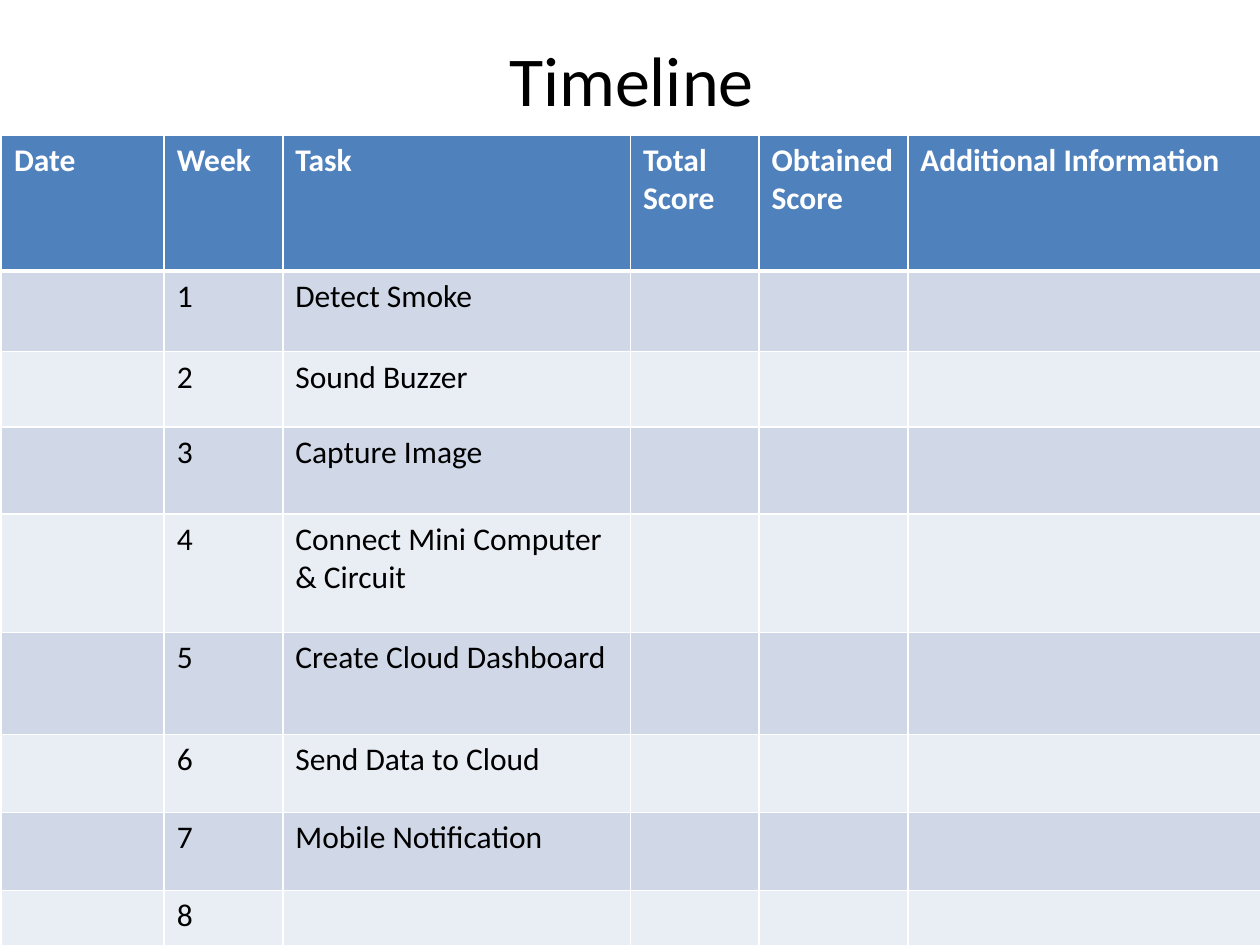
"""Build the project timeline slide with its weekly task table."""
from lxml.etree import SubElement
from pptx import Presentation
from pptx.dml.color import RGBColor
from pptx.enum.text import MSO_ANCHOR, PP_ALIGN
from pptx.oxml.ns import qn
from pptx.util import Cm, Pt

BLACK = RGBColor(0x00, 0x00, 0x00)
WHITE = RGBColor(0xFF, 0xFF, 0xFF)
HEADER_BLUE = RGBColor(0x4F, 0x81, 0xBD)
BAND_DARK = RGBColor(0xD0, 0xD8, 0xE8)
BAND_LIGHT = RGBColor(0xE9, 0xED, 0xF4)

HEADINGS = ["Date", "Week", "Task", "Total Score", "Obtained Score", "Additional Information"]
TASKS = [
    "Detect Smoke",
    "Sound Buzzer",
    "Capture Image",
    "Connect Mini Computer\n& Circuit",
    "Create Cloud Dashboard",
    "Send Data to Cloud",
    "Mobile Notification",
    "",
]
COLUMN_WIDTHS = [3.28, 2.39, 7.01, 2.59, 3, 7.11]
ROW_HEIGHTS = [2.74, 1.63, 1.52, 1.75, 2.39, 2.06, 1.57, 1.57, 1.57]


class SlideBuilder:
    def __init__(self, slide, font_name="Calibri"):
        self.slide = slide
        self.font_name = font_name

    def format_text(self, text_frame, size, color, bold=False):
        for paragraph in text_frame.paragraphs:
            for run in paragraph.runs:
                run.font.name = self.font_name
                run.font.size = Pt(size)
                run.font.bold = bold
                run.font.color.rgb = color

    def add_title(self, text, left, top, width, height):
        shape = self.slide.shapes.add_textbox(Cm(left), Cm(top), Cm(width), Cm(height))
        text_frame = shape.text_frame
        text_frame.word_wrap = True
        text_frame.vertical_anchor = MSO_ANCHOR.MIDDLE
        text_frame.text = text
        text_frame.paragraphs[0].alignment = PP_ALIGN.CENTER
        self.format_text(text_frame, 40, BLACK)

    def set_borders(self, cell, widths):
        properties = cell._tc.get_or_add_tcPr()
        for position, (side, width) in enumerate(widths.items()):
            line = SubElement(properties, qn(f"a:ln{side}"), w=str(Pt(width)))
            fill = SubElement(line, qn("a:solidFill"))
            SubElement(fill, qn("a:srgbClr"), val=str(WHITE))
            properties.insert(position, line)

    def add_table(self, rows, left, top, column_widths, row_heights):
        table = self.slide.shapes.add_table(
            len(rows), len(column_widths), Cm(left), Cm(top),
            Cm(sum(column_widths)), Cm(sum(row_heights)),
        ).table
        for column, width in zip(table.columns, column_widths):
            column.width = Cm(width)
        for index, (row, height, texts) in enumerate(zip(table.rows, row_heights, rows)):
            row.height = Cm(height)
            is_header = index == 0
            band = BAND_DARK if index % 2 else BAND_LIGHT
            borders = {"L": 1, "R": 1, "T": 3 if index == 1 else 1, "B": 3 if is_header else 1}
            for cell, text in zip(row.cells, texts):
                cell.text_frame.text = text
                self.format_text(cell.text_frame, 18, WHITE if is_header else BLACK, is_header)
                cell.fill.solid()
                cell.fill.fore_color.rgb = HEADER_BLUE if is_header else band
                self.set_borders(cell, borders)


def main():
    presentation = Presentation()
    presentation.slide_width = Cm(25.4)
    presentation.slide_height = Cm(19.05)
    builder = SlideBuilder(presentation.slides.add_slide(presentation.slide_layouts[6]))
    builder.add_title("Timeline", 1.3, 0, 22.86, 3.18)
    weeks = [["", str(week), task, "", "", ""] for week, task in enumerate(TASKS, 1)]
    builder.add_table([HEADINGS] + weeks, 0.03, 2.72, COLUMN_WIDTHS, ROW_HEIGHTS)
    presentation.save("out.pptx")


if __name__ == "__main__":
    main()
